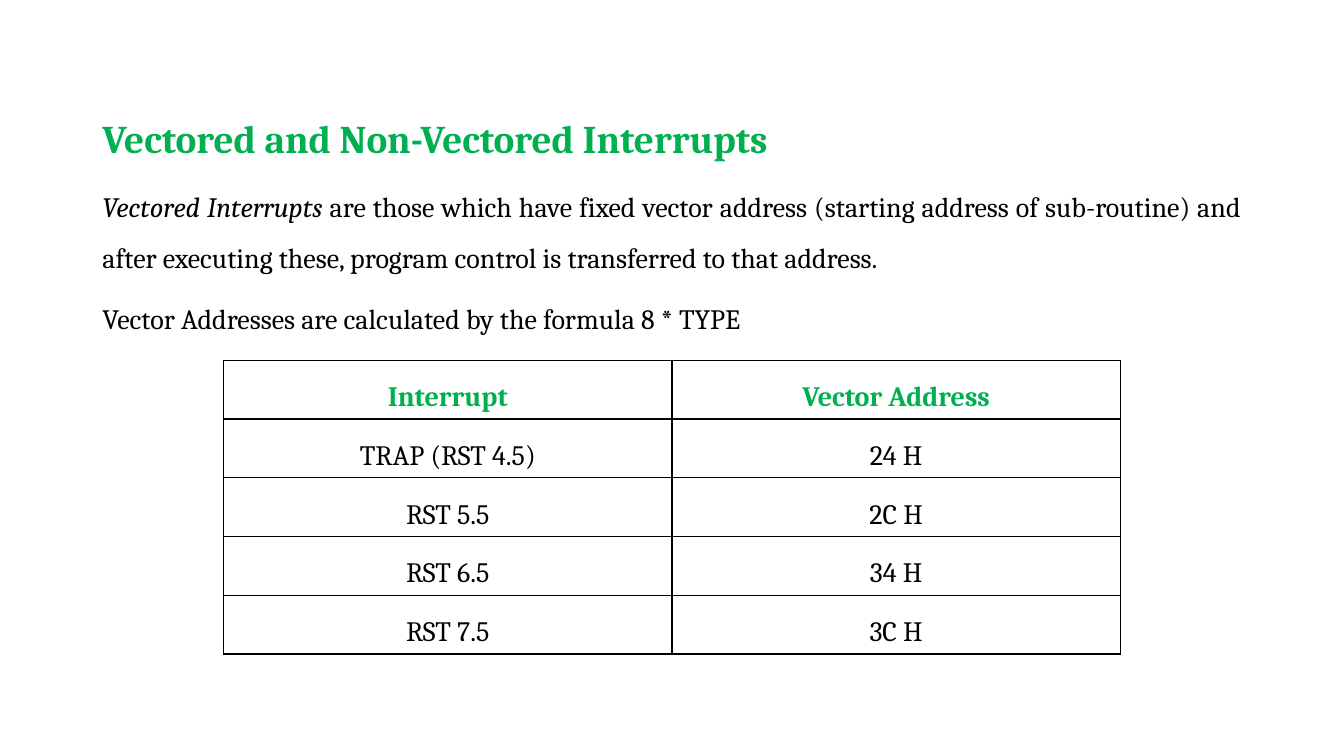
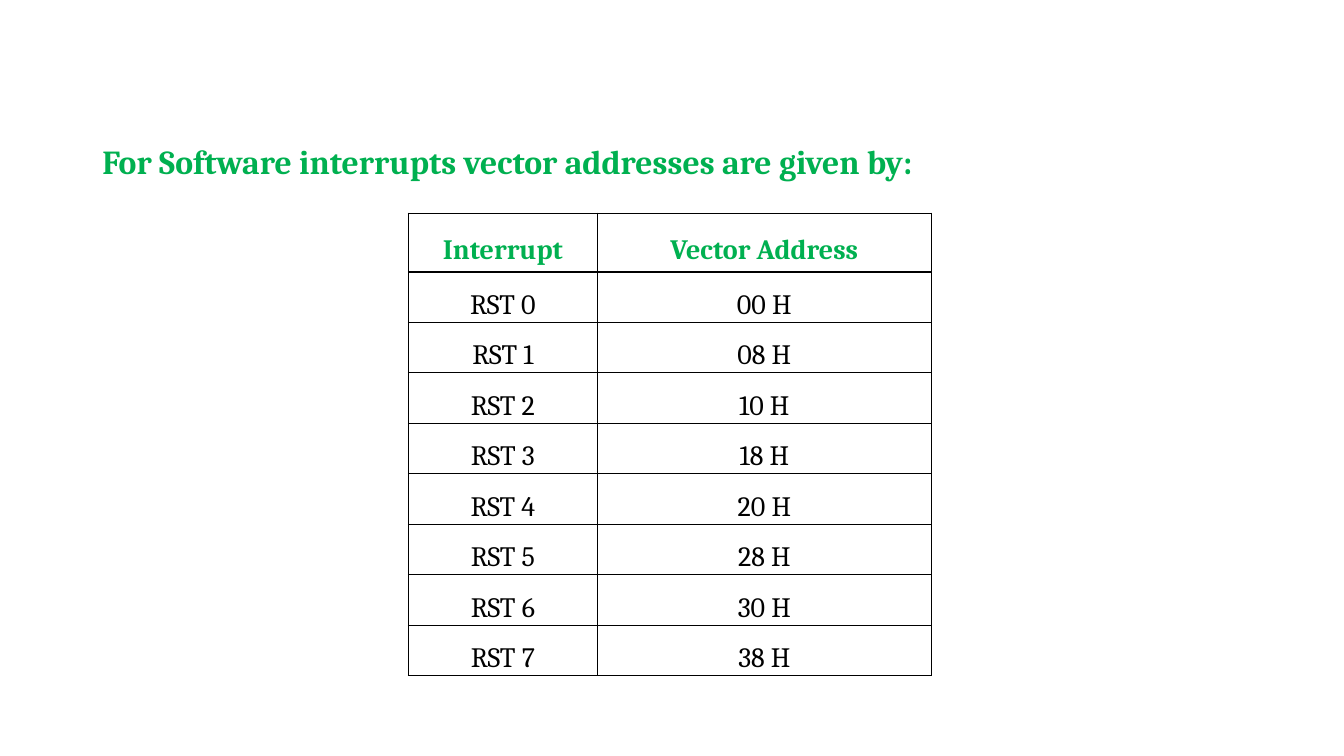
from dataclasses import dataclass

from lxml import etree
from pptx import Presentation
from pptx import util as u
from pptx.dml.color import RGBColor
from pptx.enum import text
from pptx.oxml import ns


# Shared look
@dataclass(frozen=True)
class Theme:
    font: str = "Cambria"
    accent: RGBColor = RGBColor(0x00, 0xB0, 0x50)
    ink: RGBColor = RGBColor(0x00, 0x00, 0x00)
    paper: RGBColor = RGBColor(0xFF, 0xFF, 0xFF)
    heading_size: int = 28
    subheading_size: int = 24
    body_size: int = 20
    line_spacing: float = 1.5
    border_width: int = 1


THEME = Theme()
EMU_PER_PX = 9525
SLIDE_SIZE = (1280, 720)
TEXT_LEFT, TEXT_WIDTH = 88, 1104
HEADER_HEIGHT = 56
TABLE_HEADINGS = ("Interrupt", "Vector Address")


def px(length):
    return u.Emu(length * EMU_PER_PX)


# Text
def style_paragraph(paragraph, size, color, bold, alignment, spacing):
    paragraph.alignment = alignment
    paragraph.line_spacing = spacing
    font = paragraph.font
    font.name, font.size, font.bold = THEME.font, u.Pt(size), bold
    font.color.rgb = color


def place_text(shape, top, height):
    shape.left, shape.top = px(TEXT_LEFT), px(top)
    shape.width, shape.height = px(TEXT_WIDTH), px(height)
    frame = shape.text_frame
    frame.word_wrap = True
    frame.auto_size = text.MSO_AUTO_SIZE.NONE
    frame.vertical_anchor = text.MSO_ANCHOR.TOP
    return frame


def set_title(slide, wording, top, height, size, spacing, space_before=0):
    frame = place_text(slide.shapes.title, top, height)
    frame.text = wording
    paragraph = frame.paragraphs[0]
    style_paragraph(paragraph, size, THEME.accent, True,
                    text.PP_ALIGN.JUSTIFY, spacing)
    paragraph.space_before = u.Pt(space_before)


def remove_bullet(paragraph):
    properties = paragraph._p.get_or_add_pPr()
    properties.set("marL", "0")
    properties.set("indent", "0")
    etree.SubElement(properties, ns.qn("a:buNone"))


def set_body(slide, paragraphs, top, height):
    """Each paragraph is a list of (wording, italic) runs."""
    frame = place_text(slide.placeholders[1], top, height)
    for index, runs in enumerate(paragraphs):
        paragraph = frame.add_paragraph() if index else frame.paragraphs[0]
        for wording, italic in runs:
            run = paragraph.add_run()
            run.text = wording
            if italic:
                run.font.italic = True
        style_paragraph(paragraph, THEME.body_size, THEME.ink, False,
                        text.PP_ALIGN.JUSTIFY, THEME.line_spacing)
        paragraph.space_before, paragraph.space_after = u.Pt(0), u.Pt(8)
        remove_bullet(paragraph)


# Tables
def add_borders(cell):
    properties = cell._tc.get_or_add_tcPr()
    for index, side in enumerate(("lnL", "lnR", "lnT", "lnB")):
        line = etree.Element(ns.qn(f"a:{side}"),
                             w=str(u.Pt(THEME.border_width)))
        fill = etree.SubElement(line, ns.qn("a:solidFill"))
        etree.SubElement(fill, ns.qn("a:srgbClr"), val=str(THEME.ink))
        properties.insert(index, line)


def fill_cell(cell, wording, is_header, margin):
    cell.text = wording
    cell.vertical_anchor = text.MSO_ANCHOR.MIDDLE
    cell.fill.solid()
    cell.fill.fore_color.rgb = THEME.paper
    if margin is not None and not is_header:
        cell.margin_left = cell.margin_right = px(margin)
        cell.margin_top = cell.margin_bottom = px(margin)
    style_paragraph(cell.text_frame.paragraphs[0], THEME.body_size,
                    THEME.accent if is_header else THEME.ink, is_header,
                    text.PP_ALIGN.CENTER, THEME.line_spacing)
    add_borders(cell)


def add_vector_table(slide, entries, left, top, widths, row_height, margin=None):
    rows = [TABLE_HEADINGS, *entries]
    height = HEADER_HEIGHT + row_height * len(entries)
    table = slide.shapes.add_table(len(rows), len(widths), px(left), px(top),
                                   px(sum(widths)), px(height)).table
    table.horz_banding = False
    for column, width in zip(table.columns, widths):
        column.width = px(width)
    for row_index, row in enumerate(rows):
        is_header = row_index == 0
        table.rows[row_index].height = px(HEADER_HEIGHT if is_header else row_height)
        for column_index, wording in enumerate(row):
            fill_cell(table.cell(row_index, column_index), wording, is_header, margin)


# Slides
def add_hardware_slide(presentation):
    slide = presentation.slides.add_slide(
        presentation.slide_layouts.get_by_name("Title and Content"))
    set_title(slide, "Vectored and Non-Vectored Interrupts", 82, 76,
              THEME.heading_size, THEME.line_spacing)
    set_body(slide, [
        [("Vectored Interrupts", True),
         (" are those which have fixed vector address (starting address of "
          "sub-routine) and after executing these, program control is "
          "transferred to that address.", False)],
        [("Vector Addresses are calculated by the formula 8 * TYPE", False)],
    ], 160, 180)
    entries = [("TRAP (RST 4.5)", "24 H"), ("RST 5.5", "2C H"),
               ("RST 6.5", "34 H"), ("RST 7.5", "3C H")]
    add_vector_table(slide, entries, 213, 343, (427, 427), 56)


def add_software_slide(presentation):
    slide = presentation.slides.add_slide(
        presentation.slide_layouts.get_by_name("Title Only"))
    set_title(slide, "For Software interrupts vector addresses are given by:",
              91, 100, THEME.subheading_size, 2.0, space_before=10)
    # Each restart vector lies at eight times its number
    entries = [(f"RST {number}", f"{8 * number:02X} H") for number in range(8)]
    entries = [(f"RST {number}", f"{8 * number:02X} H") for number in range(8)]
    add_vector_table(slide, entries, 389, 203, (180, 318), 48, margin=1)


def main():
    presentation = Presentation()
    presentation.slide_width, presentation.slide_height = map(px, SLIDE_SIZE)
    add_hardware_slide(presentation)
    add_software_slide(presentation)
    presentation.save("out.pptx")


if __name__ == "__main__":
    main()
